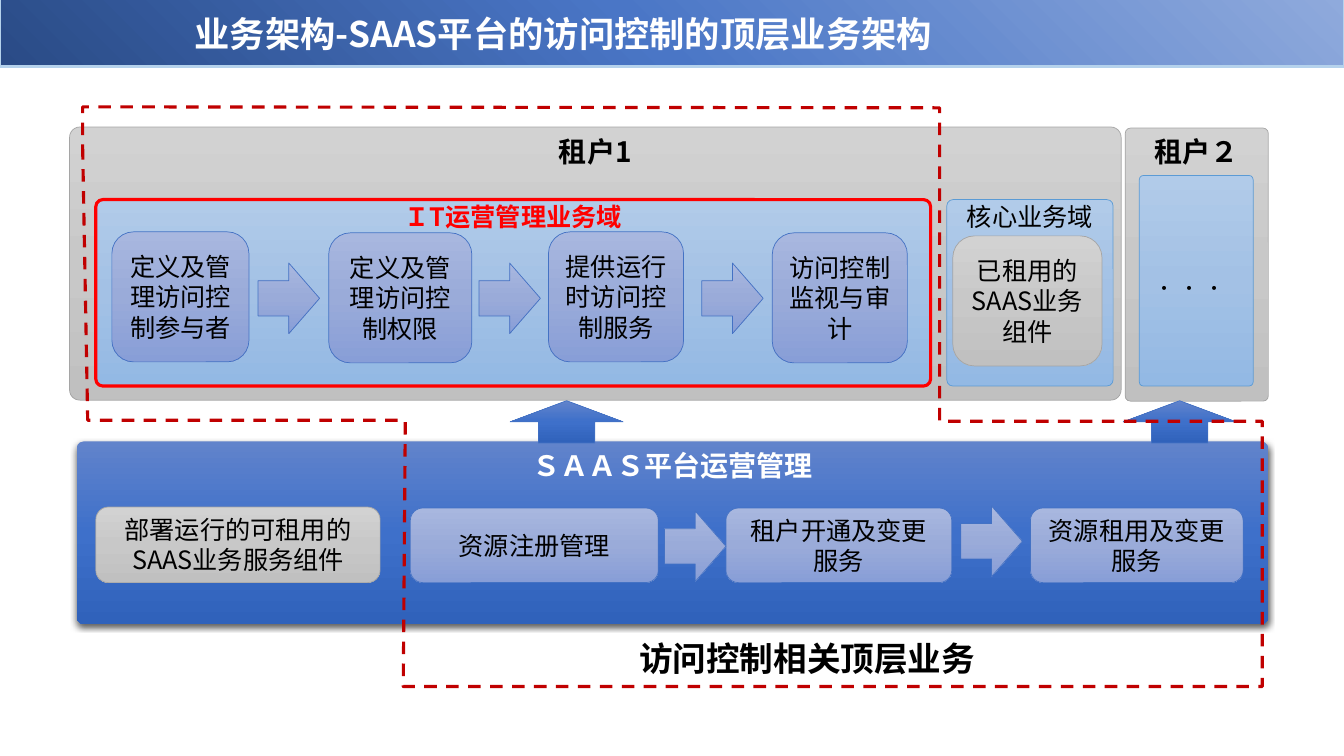
from pptx import Presentation, oxml
from pptx import util as u
from pptx.dml import color as dml
from pptx.enum import dml as lines
from pptx.enum import shapes, text
from pptx.oxml import ns

COLORS = {
    "black": "000000", "white": "FFFFFF", "red": "FF0000", "dash": "C00000",
    "gray": "A5A5A5", "blue": "4472C4", "sky": "5B9BD5", "pale": "B5D2EC",
}
GRADIENTS = {
    "gray": {0: "D2D2D2", 50: "C8C8C8", 100: "C0C0C0"},
    "sky": {0: "B1CBE9", 50: "A3C1E5", 100: "93B9E4"},
    "lilac": {0: "A8B7DF", 50: "9AABD9", 100: "889ED7"},
    "blue": {0: "6183CB", 50: "3E70CA", 100: "3062BB"},
    "banner": {0: "2A4B86", 48: "4A76C6", 100: "8FAADC"},
}
LINEAR = '<a:lin ang="5400000" scaled="0"/>'
CORNER = '<a:path path="circle"><a:fillToRect t="100000" r="100000"/></a:path>'
SHADOW = (
    '<a:outerShdw {} blurRad="57150" dist="19050" dir="5400000" algn="ctr" rotWithShape="0">'
    '<a:srgbClr val="000000"><a:alpha val="63000"/></a:srgbClr></a:outerShdw>'
)
KIND = shapes.MSO_SHAPE
MIDDLE = text.MSO_ANCHOR.MIDDLE
TOP = text.MSO_ANCHOR.TOP


class Board:
    font = "Noto Sans CJK SC"
    cell = u.Inches(0.1)
    narrow = 0.038

    def __init__(self, deck):
        self.page = deck.slides.add_slide(deck.slide_layouts[5])

    def cells(self, values):
        return [round(value * self.cell) for value in values]

    def color(self, name):
        return dml.RGBColor.from_string(COLORS[name])

    def caption(self, frame, words, size=18, color="black", bold=False,
                align=text.PP_ALIGN.CENTER, anchor=MIDDLE, inset=None):
        frame.word_wrap = True
        frame.vertical_anchor = anchor
        if inset is not None:
            frame.margin_left = frame.margin_right = inset
            frame.margin_top = frame.margin_bottom = inset
        frame.text = words
        para = frame.paragraphs[0]
        para.alignment = align
        para.font.size = u.Pt(size)
        para.font.bold = bold
        para.font.name = self.font
        para.font.color.rgb = self.color(color)
        style = para._p.pPr.find(ns.qn("a:defRPr"))
        style.append(oxml.parse_xml(f'<a:ea {ns.nsdecls("a")} typeface="{self.font}"/>'))
        return para

    def title(self, words, place):
        box = self.page.shapes.title
        box.left, box.top, box.width, box.height = self.cells(place)
        box.text_frame.auto_size = text.MSO_AUTO_SIZE.NONE
        para = self.caption(box.text_frame, words, 25.2, "white", True, text.PP_ALIGN.LEFT)
        para.line_spacing = 0.9

    def shape(self, kind, place, fill, line=None, width=0.5, direction=LINEAR):
        box = self.page.shapes.add_shape(kind, *self.cells(place))
        box.shadow.inherit = False
        box.fill.background()
        stops = "".join(
            f'<a:gs pos="{share * 1000}"><a:srgbClr val="{tone}"/></a:gs>'
            for share, tone in GRADIENTS[fill].items())
        outline = box._element.spPr
        outline.replace(outline.find(ns.qn("a:noFill")), oxml.parse_xml(
            f'<a:gradFill {ns.nsdecls("a")} rotWithShape="1">'
            f'<a:gsLst>{stops}</a:gsLst>{direction}</a:gradFill>'))
        if line:
            box.line.color.rgb = self.color(line)
            box.line.width = u.Pt(width)
        else:
            box.line.fill.background()
        return box

    def banner(self, place):
        box = self.shape(KIND.RECTANGLE, place, "banner", "pale", 1.5, CORNER)
        self.page.shapes._spTree.insert(2, box._element)

    def panel(self, words, place, fill, line=None, width=0.5, **style):
        box = self.shape(KIND.ROUNDED_RECTANGLE, place, fill, line, width)
        box.adjustments[0] = self.narrow
        self.caption(box.text_frame, words, **{"anchor": TOP, **style})
        return box

    def step(self, words, place, fill="lilac", line="blue"):
        box = self.shape(KIND.ROUNDED_RECTANGLE, place, fill, line)
        self.caption(box.text_frame, words)

    def next_arrow(self, left, top):
        self.shape(KIND.RIGHT_ARROW, (left, top, 6.1, 7), "lilac", "blue")

    def up_arrow(self, left, top):
        self.shape(KIND.UP_ARROW, (left, top, 11.2, 4.2), "blue", "blue")

    def cast_shadow(self, box):
        effects = box._element.spPr.find(ns.qn("a:effectLst"))
        effects.append(oxml.parse_xml(SHADOW.format(ns.nsdecls("a"))))

    def dashed_outline(self, points):
        start, *rest = [self.cells(point) for point in points]
        builder = self.page.shapes.build_freeform(*start)
        builder.add_line_segments(rest, close=True)
        box = builder.convert_to_shape()
        box.shadow.inherit = False
        box.fill.background()
        box.line.color.rgb = self.color("dash")
        box.line.width = u.Pt(2.25)
        box.line.dash_style = lines.MSO_LINE.DASH

    def label(self, words, place, size):
        box = self.page.shapes.add_textbox(*self.cells(place))
        self.caption(box.text_frame, words, size, bold=True,
                     align=text.PP_ALIGN.LEFT, anchor=TOP)


def main():
    deck = Presentation()
    deck.slide_width, deck.slide_height = u.Inches(13.33), u.Inches(7.5)
    board = Board(deck)
    board.banner((0, -0.2, 133.3, 6.8))
    board.title("业务架构-SAAS平台的访问控制的顶层业务架构", (18.3, 1, 115, 5.1))

    heading = {"size": 20, "bold": True}
    board.panel("租户1", (6.9, 12.6, 104.3, 27.1), "gray", "gray", **heading)
    board.panel("ＩT运营管理业务域", (9.5, 19.8, 82.8, 18.5), "sky", "red", 2.25,
                color="red", bold=True, inset=0)
    for words, left, top, width in (
            ("定义及管理访问控制参与者", 11.1, 23, 13.6),
            ("定义及管理访问控制权限", 32.6, 23.1, 14.2),
            ("提供运行时访问控制服务", 54.4, 23, 13.4),
            ("访问控制监视与审计", 76.6, 23.1, 13.4)):
        board.step(words, (left, top, width, 12.9))
    for left in (25.6, 47.5, 69.6):
        board.next_arrow(left, 26.1)

    board.panel("核心业务域", (93.9, 19.8, 16.5, 18.5), "sky", "sky", inset=0)
    board.step("已租用的SAAS业务组件", (94.5, 23.4, 14.8, 12.9), "gray", "gray")
    board.panel("租户２", (111.6, 12.7, 14.2, 27.1), "gray", "gray", **heading)
    board.panel("．．．", (113, 17.4, 11.3, 20.9), "sky", "sky", anchor=MIDDLE, inset=0)

    platform = board.panel("ＳＡＡＳ平台运营管理", (7.6, 43.8, 118.2, 18.1), "blue",
                           color="white", **heading)
    board.cast_shadow(platform)
    for left in (50.6, 111.4):
        board.up_arrow(left, 39.75)
    board.step("部署运行的可租用的SAAS业务服务组件", (9.5, 50.3, 28.2, 7.5), "gray", "gray")
    for words, left, width in (
            ("资源注册管理", 40.7, 24.6),
            ("租户开通及变更服务", 72, 22.4),
            ("资源租用及变更服务", 102.2, 21.1)):
        board.step(words, (left, 50.4, width, 7.4))
    for left, top in ((65.9, 50.7), (95.3, 50.2)):
        board.next_arrow(left, top)

    board.dashed_outline((
        (8.2, 14.6), (8.7, 41.7), (40.2, 41.7), (40, 68.1), (125.2, 68.1),
        (125.2, 41.8), (93.2, 41.8), (93.2, 10.7), (8.2, 10.6)))
    board.label("访问控制相关顶层业务", (62.4, 62.8, 59.6, 5), 24)
    deck.save("out.pptx")


if __name__ == "__main__":
    main()
